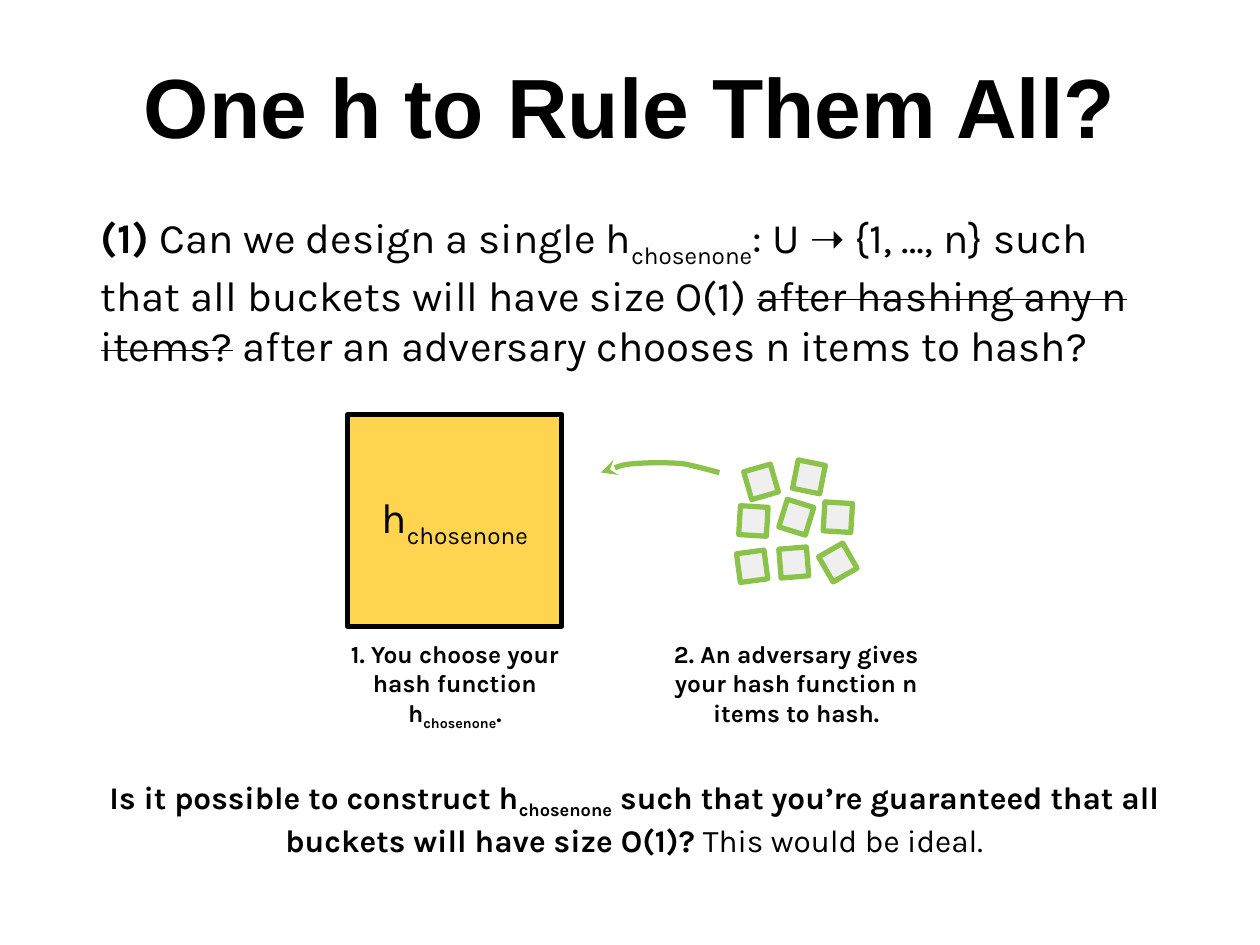
from lxml.etree import SubElement
from pptx import Presentation
from pptx.dml.color import RGBColor
from pptx.enum.shapes import MSO_SHAPE
from pptx.enum.text import MSO_ANCHOR, PP_ALIGN
from pptx.oxml.ns import qn
from pptx.util import Inches, Pt

BLACK = RGBColor(0x00, 0x00, 0x00)
YELLOW = RGBColor(0xFF, 0xD5, 0x4F)
GREEN = RGBColor(0x8B, 0xC3, 0x4A)
GREY = RGBColor(0xEF, 0xEF, 0xEF)

BOLD, SUB, STRIKE = "bold", "subscript", "strike"
ITEM_WIDTH, ITEM_HEIGHT = 0.22, 0.23
# Left and top within the pile, then rotation in degrees
ITEMS = [
    (0.07, 0.04, 343.9), (0.35, 0.32, 17.2), (0.45, 0, 11.4),
    (0, 0.71, 352.3), (0.33, 0.68, 355.4), (0.68, 0.32, 3.5),
    (0.68, 0.68, 330.2), (0.01, 0.35, 3.5),
]
# Start point, then three points for each Bézier segment
ARROW = [
    (0.94, 0.08), (0.89, 0.07), (0.76, 0.03), (0.65, 0.01),
    (0.54, 0), (0.37, 0), (0.26, 0.01),
    (0.15, 0.02), (0.04, 0.07), (0, 0.08),
]


def write(paragraph, *runs, size, font="Karla", align=PP_ALIGN.CENTER, before=0):
    """Add runs given as (text, style, ...) tuples."""
    paragraph.alignment = align
    paragraph.space_before = Pt(before)
    for text, *styles in runs:
        run = paragraph.add_run()
        run.text = text
        run.font.name = font
        run.font.size = Pt(size)
        run.font.color.rgb = BLACK
        run.font.bold = BOLD in styles
        properties = run.font._element
        if SUB in styles:
            properties.set("baseline", "-25000")
        if STRIKE in styles:
            properties.set("strike", "sngStrike")


def prepare_frame(shape, anchor=MSO_ANCHOR.TOP):
    frame = shape.text_frame
    frame.word_wrap = True
    frame.vertical_anchor = anchor
    frame.margin_left = frame.margin_right = Inches(0.1)
    frame.margin_top = frame.margin_bottom = Inches(0.1)
    return frame


def add_text(slide, box, *runs, **text_format):
    frame = prepare_frame(slide.shapes.add_textbox(*map(Inches, box)))
    write(frame.paragraphs[0], *runs, **text_format)
    return frame


def add_square(slide, box, fill, outline, rotation=0):
    square = slide.shapes.add_shape(MSO_SHAPE.RECTANGLE, *map(Inches, box))
    square.shadow.inherit = False
    square.fill.solid()
    square.fill.fore_color.rgb = fill
    square.line.color.rgb = outline
    square.line.width = Pt(3)
    square.rotation = rotation
    return square


def add_body(slide, box):
    frame = add_text(
        slide, box,
        ("(1) ", BOLD),
        ("Can we design a single h",),
        ("chosenone", SUB),
        (": U ➝ {1, …, n} such that all buckets will have size O(1) ",),
        ("after hashing any n items?", STRIKE),
        (" after an adversary chooses n items to hash?",),
        size=24, align=PP_ALIGN.LEFT)
    write(
        frame.add_paragraph(),
        ("Is it possible to construct h", BOLD),
        ("chosenone", BOLD, SUB),
        (" such that you’re guaranteed that all buckets will have size O(1)?", BOLD),
        (" This would be ideal.",),
        size=18, before=233)


def add_hash_function(slide, box):
    square = add_square(slide, box, YELLOW, BLACK)
    frame = prepare_frame(square, MSO_ANCHOR.MIDDLE)
    write(frame.paragraphs[0], ("h",), ("chosenone", SUB), size=24)


def add_items(slide, left, top):
    for dx, dy, rotation in ITEMS:
        box = (left + dx, top + dy, ITEM_WIDTH, ITEM_HEIGHT)
        add_square(slide, box, GREY, GREEN, rotation)


def add_curved_arrow(slide, left, top):
    """Draw the arrow's points as a freeform, then bend its lines into curves."""
    start, *points = [(Inches(left + x), Inches(top + y)) for x, y in ARROW]
    builder = slide.shapes.build_freeform(*start)
    builder.add_line_segments(points, close=False)
    arrow = builder.convert_to_shape()
    arrow.shadow.inherit = False
    arrow.fill.background()
    arrow.line.color.rgb = GREEN
    arrow.line.width = Pt(3)
    outline = arrow.line._get_or_add_ln()
    SubElement(outline, qn("a:tailEnd"), type="stealth")

    route = next(arrow._element.iter(qn("a:path")))
    lines = route.findall(qn("a:lnTo"))
    for first in range(0, len(lines), 3):
        curve = SubElement(route, qn("a:cubicBezTo"))
        for line in lines[first:first + 3]:
            curve.append(line[0])
            route.remove(line)


def main():
    presentation = Presentation()
    presentation.slide_width = Inches(10)
    presentation.slide_height = Inches(7.5)
    slide = presentation.slides.add_slide(presentation.slide_layouts[6])

    add_text(slide, (0, 0.33, 10, 1.25), ("One h to Rule Them All?", BOLD),
             size=48, font="Arial")
    add_body(slide, (0.7, 1.58, 8.67, 5.92))
    add_hash_function(slide, (2.76, 3.29, 1.7, 1.68))
    add_text(slide, (2.52, 4.97, 2.18, 0.69),
             ("1. You choose your hash function h", BOLD),
             ("chosenone", BOLD, SUB), (".", BOLD), size=14)
    add_text(slide, (5.23, 4.97, 2.18, 0.93),
             ("2. An adversary gives your hash function n items to hash.", BOLD),
             size=14)
    add_items(slide, 5.86, 3.67)
    add_curved_arrow(slide, 4.77, 3.67)

    presentation.save("out.pptx")


if __name__ == "__main__":
    main()
